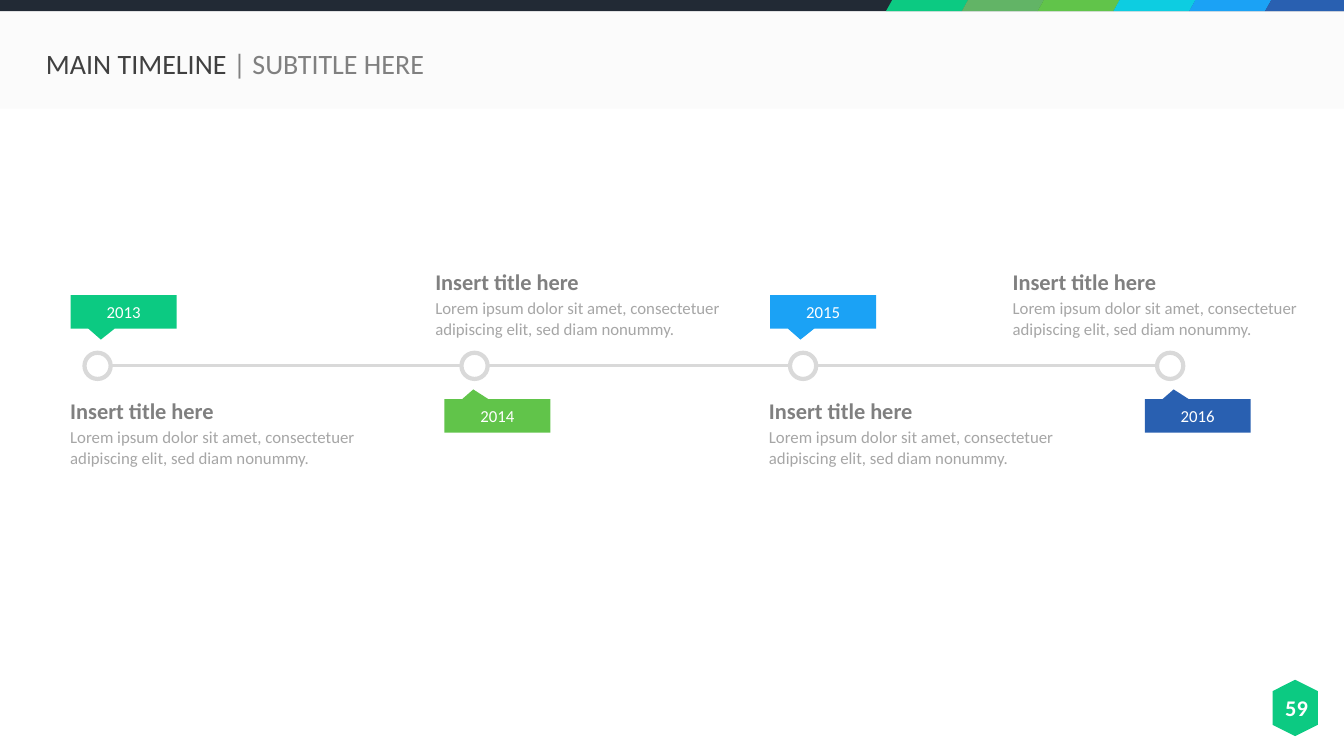
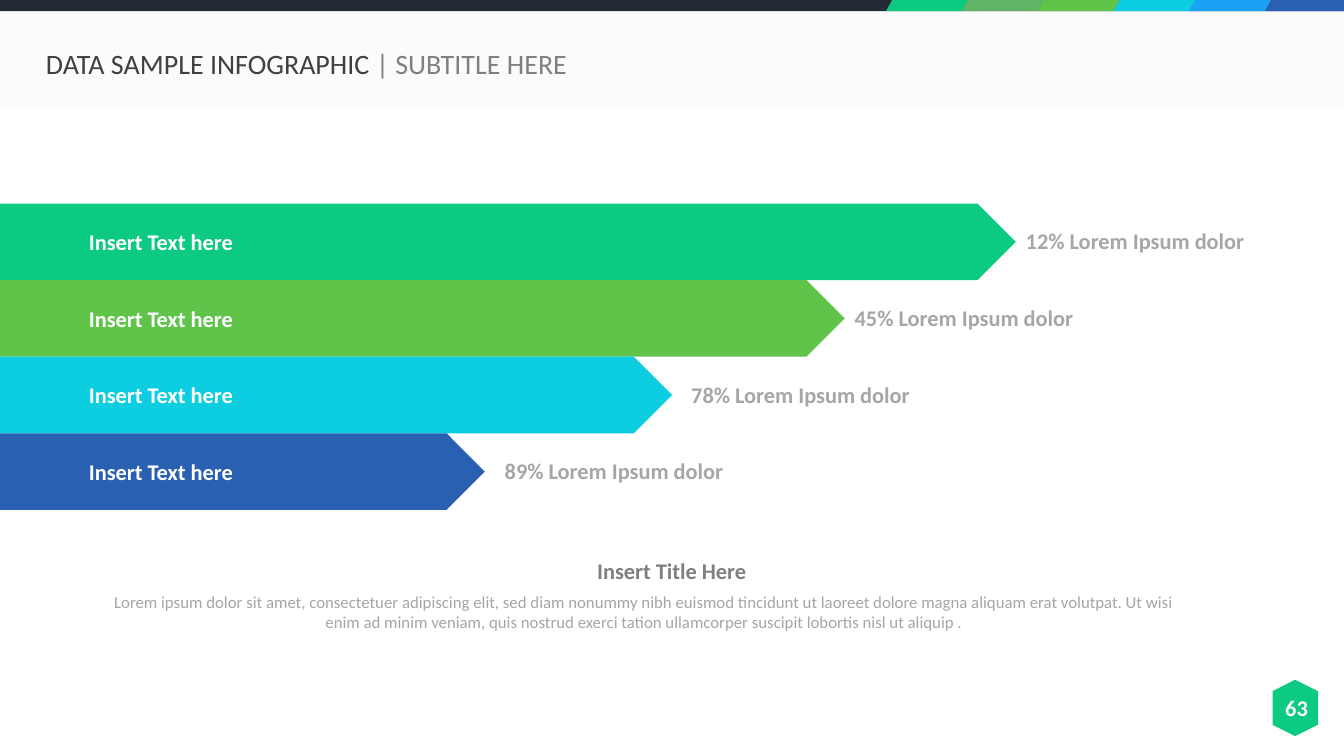
from lxml import etree
from pptx import Presentation
from pptx.dml.color import RGBColor
from pptx.enum.shapes import MSO_CONNECTOR, MSO_SHAPE
from pptx.enum.text import MSO_ANCHOR, MSO_AUTO_SIZE, PP_ALIGN
from pptx.oxml.ns import qn
from pptx.util import Cm, Pt

GREEN = RGBColor(0x0C, 0xCA, 0x82)
SAGE = RGBColor(0x62, 0xB4, 0x66)
LIME = RGBColor(0x61, 0xC4, 0x4A)
CYAN = RGBColor(0x0D, 0xCD, 0xE1)
SKY = RGBColor(0x1B, 0xA2, 0xF5)
BLUE = RGBColor(0x29, 0x60, 0xB1)
NAVY = RGBColor(0x22, 0x2A, 0x35)
WHITE = RGBColor(0xFF, 0xFF, 0xFF)
PALE = RGBColor(0xF2, 0xF2, 0xF2)
RAIL = RGBColor(0xD9, 0xD9, 0xD9)
DARK = RGBColor(0x40, 0x40, 0x40)
MID = RGBColor(0x80, 0x80, 0x80)
LIGHT = RGBColor(0xA6, 0xA6, 0xA6)

FONT = "Calibri"
SLIDE_W, SLIDE_H = 33.87, 19.05
STRIP_H = 0.28
LOREM = ("Lorem ipsum dolor sit amet, consectetuer adipiscing elit, "
         "sed diam nonummy.")
LONG_LOREM = (
    "Lorem ipsum dolor sit amet, consectetuer adipiscing elit, sed diam "
    "nonummy nibh euismod tincidunt ut laoreet dolore magna aliquam erat "
    "volutpat. Ut wisi enim ad minim veniam, quis nostrud exerci tation "
    "ullamcorper suscipit lobortis nisl ut aliquip .")


def paint(sp, color):
    sp.shadow.inherit = False
    sp.fill.solid()
    sp.fill.fore_color.rgb = color
    sp.line.fill.background()


def add_block(s, kind, x, y, w, h, color):
    sp = s.shapes.add_shape(kind, Cm(x), Cm(y), Cm(w), Cm(h))
    paint(sp, color)
    return sp


def style(r, size, color, bold=False):
    r.font.name = FONT
    r.font.size = Pt(size)
    r.font.bold = bold
    r.font.color.rgb = color


def write(sp, text, size, color, bold=False, align=PP_ALIGN.LEFT):
    """Put one styled paragraph in a shape and return the paragraph."""
    p = sp.text_frame.paragraphs[0]
    p.text = text
    p.alignment = align
    style(p.runs[0], size, color, bold)
    return p


def add_text(s, x, y, w, h, text, size, color, bold=False,
             align=PP_ALIGN.LEFT):
    sp = s.shapes.add_textbox(Cm(x), Cm(y), Cm(w), Cm(h))
    sp.text_frame.word_wrap = True
    sp.text_frame.auto_size = MSO_AUTO_SIZE.SHAPE_TO_FIT_TEXT
    write(sp, text, size, color, bold, align)
    return sp


def add_color_strip(s):
    """Dark strip along the top edge that ends in slanted colour tabs."""
    left, step, slant = 22.33, 1.91, 0.16
    add_block(s, MSO_SHAPE.RECTANGLE, 0, 0, SLIDE_W, STRIP_H, NAVY)
    tabs = (GREEN, SAGE, LIME, CYAN, SKY)
    for i, color in enumerate(tabs):
        tab = add_block(s, MSO_SHAPE.PARALLELOGRAM, left + i * step, 0,
                        step + slant, STRIP_H, color)
        tab.adjustments[0] = 0.56
    x = left + len(tabs) * step
    fb = s.shapes.build_freeform(Cm(x + slant), 0)
    fb.add_line_segments([(Cm(SLIDE_W), 0), (Cm(SLIDE_W), Cm(STRIP_H)),
                          (Cm(x), Cm(STRIP_H))], close=True)
    paint(fb.convert_to_shape(), BLUE)


def add_title(s, title):
    sp = s.shapes.add_textbox(Cm(0.91), Cm(0.94), Cm(18.85), Cm(1.4))
    sp.text_frame.word_wrap = True
    sp.text_frame.vertical_anchor = MSO_ANCHOR.MIDDLE
    p = write(sp, title + " ", 20, DARK)
    p.line_spacing = 0.9
    r = p.add_run()
    r.text = "| SUBTITLE HERE"
    style(r, 20, MID)


def add_page_number(s, number):
    badge = add_block(s, MSO_SHAPE.HEXAGON, 31.93, 17.27, 1.42, 1.14, GREEN)
    badge.rotation = 90
    add_text(s, 31.9, 17.37, 1.55, 0.94, str(number), 16, WHITE, True,
             PP_ALIGN.CENTER)


def add_base_slide(prs, title, number):
    s = prs.slides.add_slide(prs.slide_layouts[6])
    band = add_block(s, MSO_SHAPE.RECTANGLE, 0, STRIP_H, SLIDE_W, 2.46, PALE)
    color = band.fill._xPr.find(".//" + qn("a:srgbClr"))
    etree.SubElement(color, qn("a:alpha"), val="29000")
    add_color_strip(s)
    add_page_number(s, number)
    add_title(s, title)
    return s


def add_rail(s, x1, x2, y):
    rail = s.shapes.add_connector(MSO_CONNECTOR.STRAIGHT,
                                  Cm(x1), Cm(y), Cm(x2), Cm(y))
    rail.line.color.rgb = RAIL
    rail.line.width = Pt(2.25)
    etree.SubElement(rail._element.spPr, qn("a:effectLst"))


def add_year_tag(s, x, y, year, color, above):
    tag = add_block(s, MSO_SHAPE.RECTANGULAR_CALLOUT, x, y, 2.67, 0.84, color)
    tip = (-0.214, 0.832) if above else (-0.227, -0.793)
    tag.adjustments[0], tag.adjustments[1] = tip
    tag.text_frame.vertical_anchor = MSO_ANCHOR.MIDDLE
    write(tag, year, 12, WHITE, align=PP_ALIGN.CENTER)


def add_caption(s, x, y, w):
    add_text(s, x, y + 0.76, w, 1.28, LOREM, 12, LIGHT)
    add_text(s, x, y, 7.19, 0.94, "Insert title here", 16, MID, True)


def add_timeline(s, y):
    """Milestones on a rail at height y, tags alternately above and below."""
    ring = 0.66
    # year, colour, ring left, tag left, caption left, caption width
    stops = (("2013", GREEN, 2.13, 1.78, 1.52, 9.22),
             ("2014", LIME, 11.63, 11.2, 10.72, 9.22),
             ("2015", SKY, 19.91, 19.41, 19.13, 9.22),
             ("2016", BLUE, 29.16, 28.85, 25.27, 7.97))
    add_rail(s, stops[0][2] + ring, stops[-1][2], y)
    for i, (year, color, ring_x, tag_x, text_x, text_w) in enumerate(stops):
        above = i % 2 == 0
        dot = add_block(s, MSO_SHAPE.OVAL, ring_x, y - ring / 2, ring, ring,
                        WHITE)
        dot.line.color.rgb = RAIL
        dot.line.width = Pt(3)
        add_year_tag(s, tag_x, y - 1.78 if above else y + 0.84, year, color,
                     above)
        add_caption(s, text_x, y + 0.66 if above else y - 2.59, text_w)


def add_arrow_bars(s, y):
    """Stacked arrows from the left edge, each with a value at its tip."""
    h = 1.93
    # value, colour, arrow length, gap before the value
    bars = (("12%", GREEN, 25.6, 0), ("45%", LIME, 21.29, 0),
            ("78%", CYAN, 16.94, 0.23), ("89%", BLUE, 12.22, 0.25))
    for i, (value, color, length, gap) in enumerate(bars):
        top = y + i * h
        bar = add_block(s, MSO_SHAPE.PENTAGON, 0, top, length, h, color)
        bar.text_frame.margin_left = Cm(2.24)
        bar.text_frame.vertical_anchor = MSO_ANCHOR.MIDDLE
        write(bar, "Insert Text here", 16, WHITE, True)
        add_text(s, length + gap, top + 0.48, 7.21, 0.94,
                 value + " Lorem Ipsum dolor", 16, LIGHT, True)


def add_summary(s, y):
    heading = add_text(s, 14.63, y, 4.6, 0.94, "Insert Title Here", 16, MID,
                       True, PP_ALIGN.CENTER)
    heading.text_frame.word_wrap = False
    add_text(s, 2.39, y + 0.86, 27.69, 1.28, LONG_LOREM, 12, LIGHT,
             align=PP_ALIGN.CENTER)


def main():
    prs = Presentation()
    prs.slide_width, prs.slide_height = Cm(SLIDE_W), Cm(SLIDE_H)
    add_timeline(add_base_slide(prs, "MAIN TIMELINE", 59), 9.22)
    s = add_base_slide(prs, "DATA SAMPLE INFOGRAPHIC", 63)
    add_arrow_bars(s, 5.13)
    add_summary(s, 13.92)
    prs.save("out.pptx")


if __name__ == "__main__":
    main()
